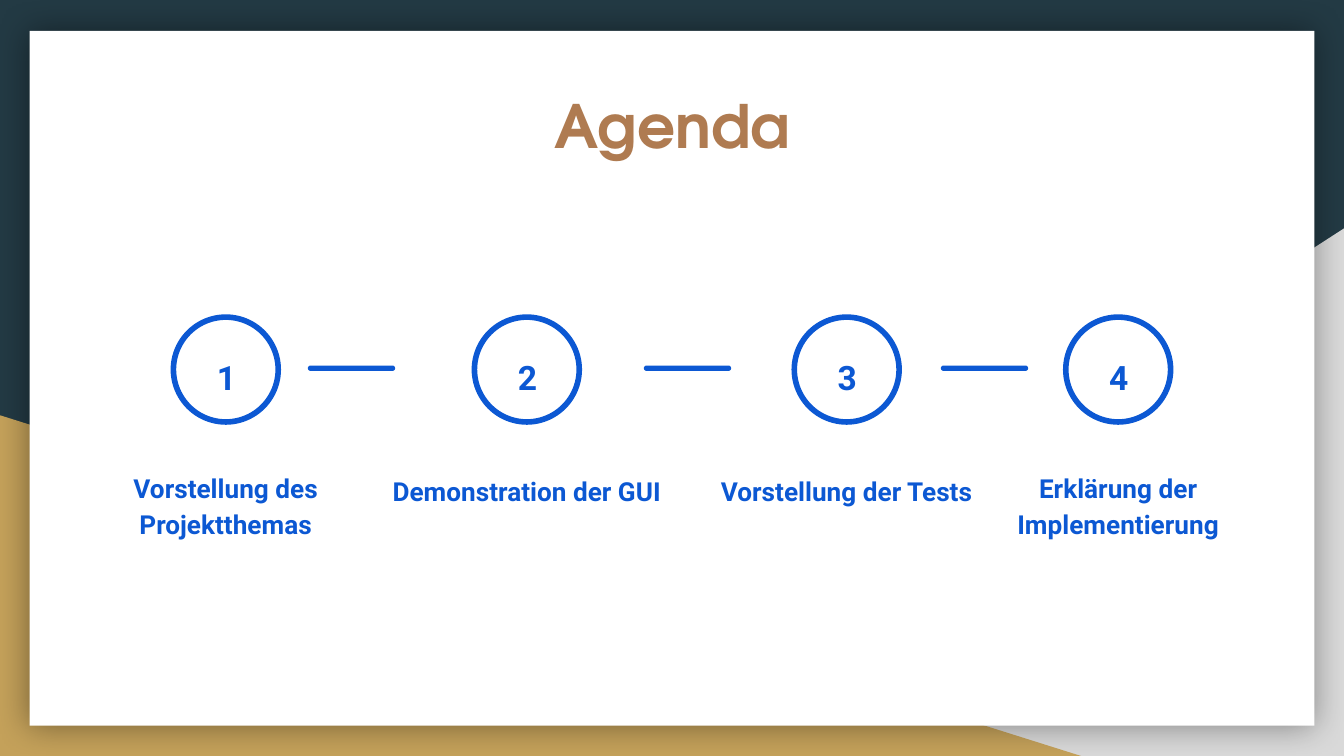
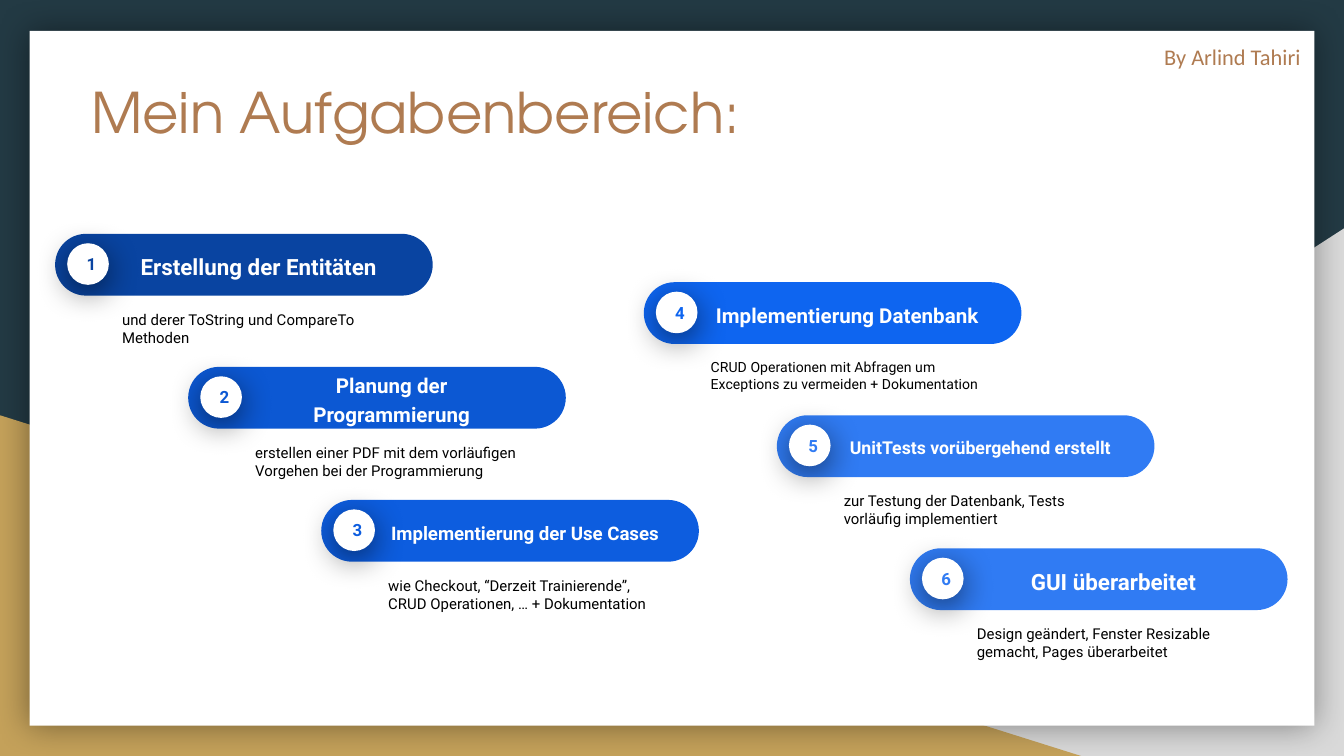
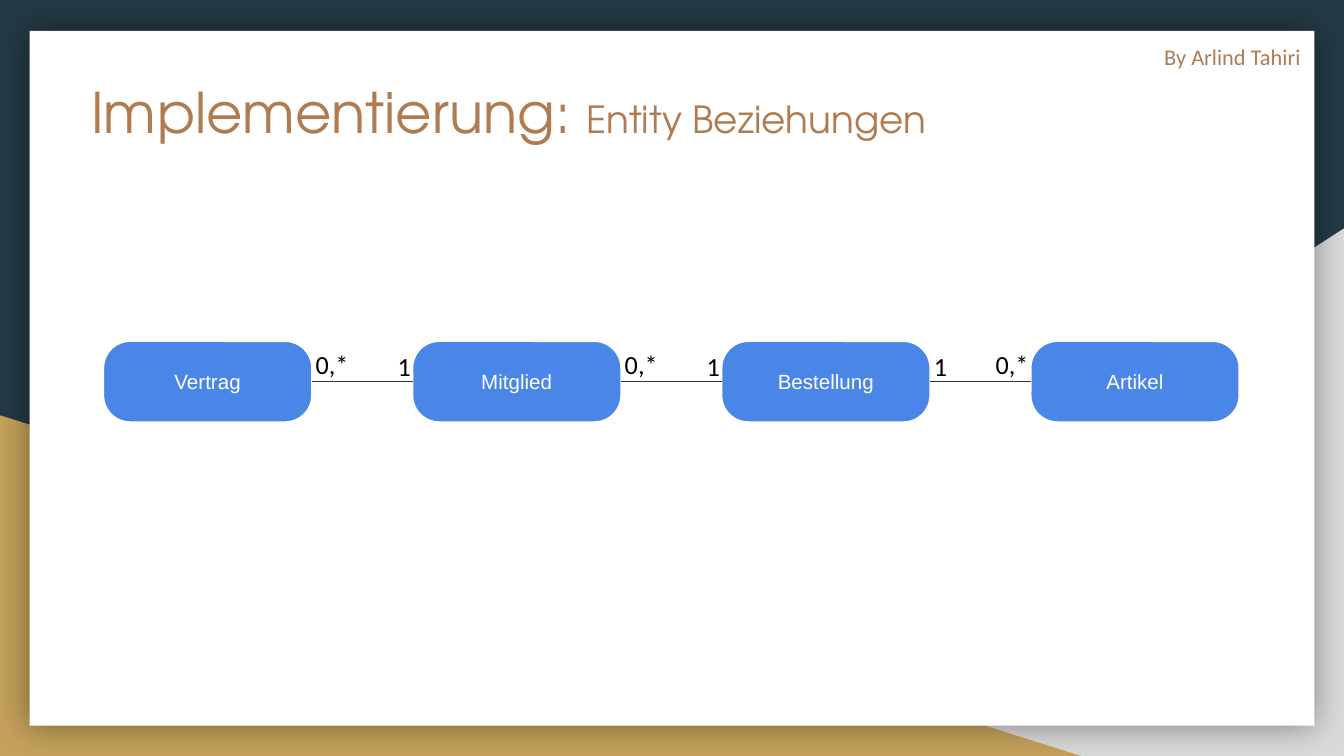
from lxml import etree
from pptx import Presentation
from pptx.dml.color import RGBColor
from pptx.enum.shapes import MSO_CONNECTOR, MSO_SHAPE
from pptx.enum.text import MSO_ANCHOR, PP_ALIGN
from pptx.oxml.ns import qn
from pptx.util import Inches, Pt

NAVY = RGBColor(0x23, 0x3A, 0x44)
GREY = RGBColor(0xD9, 0xD9, 0xD9)
GOLD = RGBColor(0xC4, 0xA1, 0x5A)
BROWN = RGBColor(0xAF, 0x7B, 0x51)
WHITE = RGBColor(0xFF, 0xFF, 0xFF)
BLACK = RGBColor(0x00, 0x00, 0x00)
BLUE = RGBColor(0x0C, 0x58, 0xD3)
DEEP_BLUE = RGBColor(0x09, 0x44, 0xA1)
MID_BLUE = RGBColor(0x0D, 0x5D, 0xDF)
BRIGHT_BLUE = RGBColor(0x0E, 0x65, 0xF0)
LIGHT_BLUE = RGBColor(0x30, 0x7B, 0xF3)
ENTITY_BLUE = RGBColor(0x4A, 0x86, 0xE8)

TITLE_FONT = "TeX Gyre Adventor"
BODY_FONT = "Roboto"
NOTE_FONT = "Calibri"

AUTHOR = "By Arlind Tahiri"


def style_run(r, size, font, color, bold=False):
    r.font.size = Pt(size)
    r.font.name = font
    r.font.color.rgb = color
    r.font.bold = bold


def write(s, text, size, font, color, bold=False, align=PP_ALIGN.LEFT,
          anchor=MSO_ANCHOR.TOP, spacing=None, after=None):
    """Fill a shape with one formatted paragraph and return the paragraph."""
    tf = s.text_frame
    tf.word_wrap = True
    tf.vertical_anchor = anchor
    tf.margin_left = tf.margin_right = Inches(0.1)
    tf.margin_top = tf.margin_bottom = Inches(0.1)
    tf.text = text
    p = tf.paragraphs[0]
    p.alignment = align
    if spacing:
        p.line_spacing = spacing
    if after:
        p.space_after = Pt(after)
    style_run(p.runs[0], size, font, color, bold)
    return p


def add_text(slide, x, y, w, h, text, size, font, color, **options):
    box = slide.shapes.add_textbox(Inches(x), Inches(y), Inches(w), Inches(h))
    write(box, text, size, font, color, **options)
    return box


def add_figure(slide, kind, x, y, w, h, fill=None, line=None, width=0.75):
    s = slide.shapes.add_shape(kind, Inches(x), Inches(y), Inches(w), Inches(h))
    s.shadow.inherit = False
    if fill is None:
        s.fill.background()
    else:
        s.fill.solid()
        s.fill.fore_color.rgb = fill
    if line is None:
        s.line.fill.background()
    else:
        s.line.color.rgb = line
        s.line.width = Pt(width)
    return s


def add_pill(slide, x, y, w, h, fill):
    s = add_figure(slide, MSO_SHAPE.ROUNDED_RECTANGLE, x, y, w, h, fill)
    s.adjustments[0] = 0.5
    return s


def add_shadow(s, alpha, blur, distance=0, angle=0):
    effects = s._element.spPr.find(qn("a:effectLst"))
    outer = etree.SubElement(effects, qn("a:outerShdw"), blurRad=str(Pt(blur)),
                             dist=str(Pt(distance)), dir=str(angle * 60000),
                             algn="ctr", rotWithShape="0")
    color = etree.SubElement(outer, qn("a:srgbClr"), val=str(BLACK))
    etree.SubElement(color, qn("a:alpha"), val=str(alpha * 1000))


def new_slide(prs):
    """Add a slide with the shared background, corner triangles and white card."""
    slide = prs.slides.add_slide(prs.slide_layouts[6])
    slide.background.fill.solid()
    slide.background.fill.fore_color.rgb = NAVY
    corner = add_figure(slide, MSO_SHAPE.RIGHT_TRIANGLE, 3.92, 1.7, 6.08, 3.93, GREY)
    corner._element.spPr.find(qn("a:xfrm")).set("flipH", "1")
    add_figure(slide, MSO_SHAPE.RIGHT_TRIANGLE, 0, 3.09, 8.06, 2.54, GOLD)
    card = add_figure(slide, MSO_SHAPE.RECTANGLE, 0.22, 0.23, 9.56, 5.17, WHITE)
    add_shadow(card, 40, 18)
    return slide


def add_heading(slide, text, subtitle=None):
    """Add the left-aligned title and the author line."""
    box = add_text(slide, 0.58, 0.48, 8.21, 1.04, text, 30, TITLE_FONT, BROWN)
    if subtitle:
        r = box.text_frame.paragraphs[0].add_run()
        r.text = subtitle
        style_run(r, 20, TITLE_FONT, BROWN)
    author = add_text(slide, 8.56, 0.22, 1.22, 0.4, AUTHOR, 12, NOTE_FONT, BROWN,
                      align=PP_ALIGN.CENTER)
    author.text_frame.word_wrap = False


def add_agenda_step(slide, center, y, number, label, label_h):
    add_figure(slide, MSO_SHAPE.OVAL, center - 0.39, y, 0.78, 0.78, line=BLUE, width=3)
    add_text(slide, center - 0.28, y + 0.15, 0.57, 0.42, str(number), 18, BODY_FONT, BLUE,
             bold=True, align=PP_ALIGN.CENTER, spacing=1.15, after=16)
    add_text(slide, center - 1.12, y + 0.93, 2.24, label_h, label, 14, BODY_FONT, BLUE,
             bold=True, align=PP_ALIGN.CENTER, anchor=MSO_ANCHOR.BOTTOM, spacing=1.15)


def build_agenda(prs):
    slide = new_slide(prs)
    add_text(slide, 0.9, 0.56, 8.21, 0.74, "Agenda", 32, TITLE_FONT, BROWN,
             bold=True, align=PP_ALIGN.CENTER)
    steps = [
        (1.68, "Vorstellung des Projektthemas", 0.83),
        (3.92, "Demonstration der GUI", 0.58),
        (6.3, "Vorstellung der Tests", 0.58),
        (8.32, "Erklärung der Implementierung", 0.83),
    ]
    for number, (center, label, label_h) in enumerate(steps, 1):
        add_agenda_step(slide, center, 2.36, number, label, label_h)
    for dash_x in (2.29, 4.79, 7):
        add_pill(slide, dash_x, 2.72, 0.65, 0.04, BLUE)


def add_task(slide, x, y, number, color, title, title_size, detail, detail_size):
    add_pill(slide, x, y, 2.81, 0.46, color)
    badge = add_figure(slide, MSO_SHAPE.OVAL, x + 0.09, y + 0.07, 0.31, 0.31, WHITE)
    add_shadow(badge, 55, 18, 4, 90)
    write(badge, str(number), 9, BODY_FONT, color, bold=True, anchor=MSO_ANCHOR.MIDDLE)
    add_text(slide, x + 0.4, y + 0.07, 2.23, 0.32, title, title_size, BODY_FONT, WHITE,
             bold=True, align=PP_ALIGN.CENTER, anchor=MSO_ANCHOR.MIDDLE, spacing=1.15)
    add_text(slide, x + 0.4, y + 0.47, 2.23, 0.42, detail, detail_size, BODY_FONT, BLACK,
             after=16)


def build_tasks(prs):
    slide = new_slide(prs)
    add_heading(slide, "Mein Aufgabenbereich:")
    tasks = [
        (DEEP_BLUE, "Erstellung der Entitäten", 12,
         "und derer ToString und CompareTo Methoden", 8),
        (BLUE, "Planung der Programmierung", 11,
         "erstellen einer PDF mit dem vorläufigen Vorgehen bei der Programmierung", 8),
        (MID_BLUE, "Implementierung der Use Cases", 10,
         "wie Checkout, “Derzeit Trainierende”, CRUD Operationen, … + Dokumentation", 8),
        (BRIGHT_BLUE, "Implementierung Datenbank", 11,
         "CRUD Operationen mit Abfragen um Exceptions zu vermeiden + Dokumentation", 7.5),
        (LIGHT_BLUE, "UnitTests vorübergehend erstellt", 9.5,
         "zur Testung der Datenbank, Tests vorläufig implementiert", 8),
        (LIGHT_BLUE, "GUI überarbeitet", 12,
         "Design geändert, Fenster Resizable gemacht, Pages überarbeitet", 8),
    ]
    stair_starts = [(0.41, 1.74), (4.79, 2.1)]
    step = 0.99
    for i, task in enumerate(tasks):
        stair, level = divmod(i, 3)
        x, y = stair_starts[stair]
        add_task(slide, x + level * step, y + level * step, i + 1, *task)


def add_relation(slide, x1, x2, y, start, end):
    """Join two entities with a line and its multiplicities."""
    line = slide.shapes.add_connector(MSO_CONNECTOR.STRAIGHT, Inches(x1), Inches(y),
                                      Inches(x2), Inches(y))
    line.line.color.rgb = NAVY
    line.line.width = Pt(0.75)
    etree.SubElement(line._element.spPr, qn("a:effectLst"))
    end_offset = 0.21 if end == "1" else 0.36
    for x, text in ((x1 - 0.07, start), (x2 - end_offset, end)):
        rise = 0.33 if text == "1" else 0.35
        add_text(slide, x, y - rise, 0.52, 0.44, text, 14, NOTE_FONT, BLACK)


def build_entities(prs):
    slide = new_slide(prs)
    add_heading(slide, "Implementierung: ", "Entity Beziehungen")
    entities = ["Vertrag", "Mitglied", "Bestellung", "Artikel"]
    relations = [("0,*", "1"), ("0,*", "1"), ("1", "0,*")]
    left, top, w, h, pitch = 0.77, 2.54, 1.55, 0.6, 2.3
    for i, name in enumerate(entities):
        s = add_figure(slide, MSO_SHAPE.ROUNDED_RECTANGLE, left + i * pitch, top, w, h,
                       ENTITY_BLUE, WHITE)
        s.adjustments[0] = 0.33
        write(s, name, 11, "Arial", WHITE, align=PP_ALIGN.CENTER, anchor=MSO_ANCHOR.MIDDLE)
    for i, (start, end) in enumerate(relations):
        x = left + i * pitch
        add_relation(slide, x + w, x + pitch, top + h / 2, start, end)


def main():
    prs = Presentation()
    prs.slide_width = Inches(10)
    prs.slide_height = Inches(5.625)
    build_agenda(prs)
    build_tasks(prs)
    build_entities(prs)
    prs.save("out.pptx")


if __name__ == "__main__":
    main()
